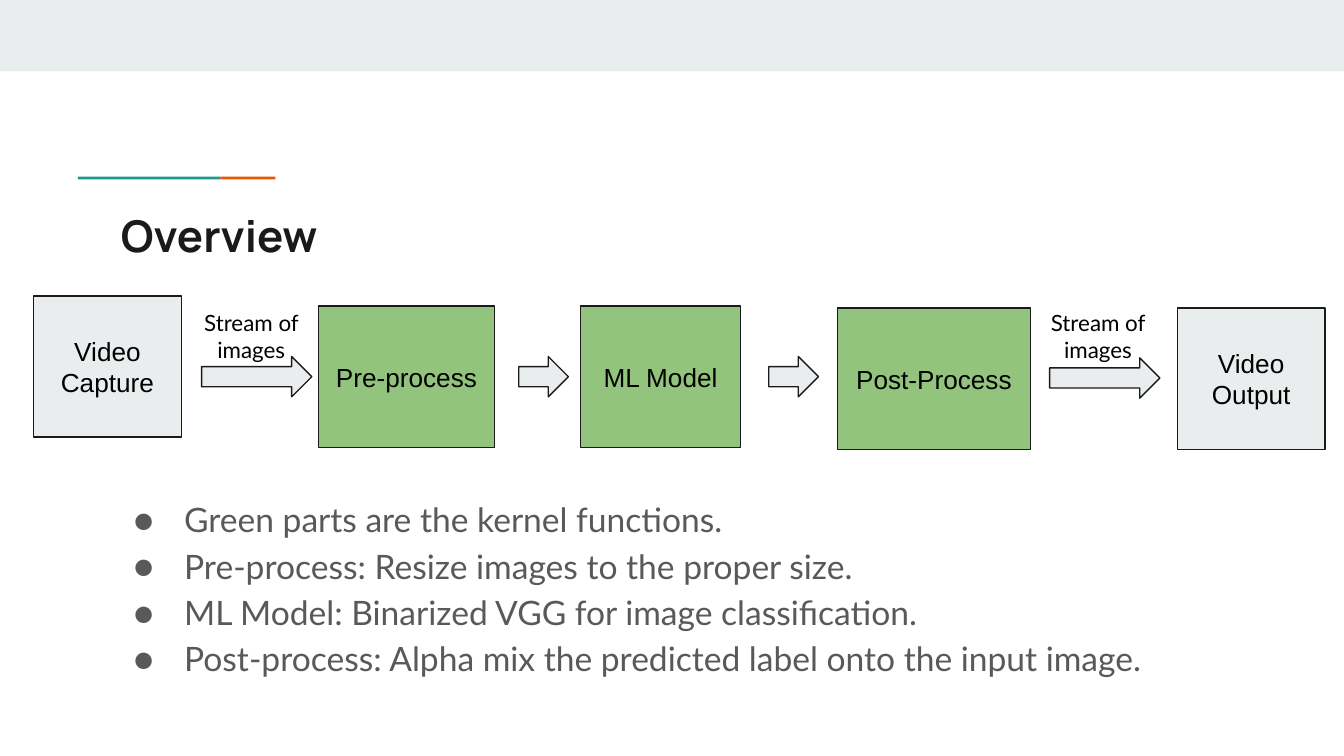
import pptx
import pptx.dml.color
import pptx.enum.shapes
import pptx.enum.text
import pptx.util
from lxml import etree
from pptx.oxml.ns import qn

COLORS = {"paper": "FFFFFF", "pale": "E9EDEE", "green": "93C47D", "teal": "1A9988",
          "orange": "EB5600", "ink": "1A1A1A", "black": "000000", "grey": "595959"}
SHAPES = pptx.enum.shapes.MSO_SHAPE
ALIGN = pptx.enum.text.PP_ALIGN
ANCHOR = pptx.enum.text.MSO_ANCHOR
FIT = pptx.enum.text.MSO_AUTO_SIZE
WIDTH = pptx.util.Inches(10)
HEIGHT = WIDTH * 9 // 16
UNIT = WIDTH // 100


def rgb(name):
    """Return the named palette colour."""
    return pptx.dml.color.RGBColor.from_string(COLORS[name])


def place(box, x, y, w, h):
    """Turn grid units inside a box into slide lengths."""
    return [round(v * UNIT) for v in (box[0] + x, box[1] + y, w, h)]


def add_block(s, kind, area, fill, outlined=False):
    """Add a filled shape with an optional thin outline."""
    sp = s.shapes.add_shape(kind, *area)
    sp.shadow.inherit = False
    sp.fill.solid()
    sp.fill.fore_color.rgb = rgb(fill)
    if outlined:
        sp.line.color.rgb = rgb("ink")
        sp.line.width = pptx.util.Pt(0.75)
    else:
        sp.line.fill.background()
    return sp


def write(sp, text, font, size, color, align=ALIGN.LEFT, anchor=ANCHOR.TOP,
          bold=False, fit=FIT.NONE):
    """Fill a shape with formatted text."""
    tf = sp.text_frame
    tf.text = text
    tf.word_wrap = True
    tf.auto_size = fit
    tf.vertical_anchor = anchor
    tf.margin_left = tf.margin_right = tf.margin_top = tf.margin_bottom = UNIT
    for p in tf.paragraphs:
        p.alignment = align
        for r in p.runs:
            r.font.name, r.font.size, r.font.bold = font, pptx.util.Pt(size), bold
            r.font.color.rgb = rgb(color)
    return tf


def add_bullet(p):
    """Give a paragraph a round bullet and a hanging indent."""
    pPr = p._p.get_or_add_pPr()
    pPr.set("marL", str(5 * UNIT))
    pPr.set("indent", str(round(-3.75 * UNIT)))
    clr = etree.SubElement(pPr, qn("a:buClr"))
    etree.SubElement(clr, qn("a:srgbClr")).set("val", COLORS["grey"])
    etree.SubElement(pPr, qn("a:buFont")).set("typeface", "Lato")
    etree.SubElement(pPr, qn("a:buChar")).set("char", "●")


def add_header(s, box):
    """Draw the top band and the two-colour accent rule."""
    add_block(s, SHAPES.RECTANGLE, place(box, 0, 0, 100, 5.3), "pale")
    for x, w, fill in ((5.8, 10.6, "teal"), (16.4, 4.1, "orange")):
        add_block(s, SHAPES.RECTANGLE, place(box, x, 13.15, w, 0.2), fill)


def add_title(s, box):
    """Write the slide title."""
    sp = s.shapes.title
    sp.left, sp.top, sp.width, sp.height = place(box, 0, 0, 84.1, 5.9)
    write(sp, "Overview", "Manrope", 23.4, "ink", bold=True)


def add_notes_list(s, box):
    """Write the bulleted list."""
    sp = s.placeholders[1]
    sp.left, sp.top, sp.width, sp.height = place(box, 0, 0, 84.1, 18.4)
    lines = ("Green parts are the kernel functions.",
             "Pre-process: Resize images to the proper size.",
             "ML Model: Binarized VGG for image classification.",
             "Post-process: Alpha mix the predicted label onto the input image.")
    tf = write(sp, "\n".join(lines), "Lato", 18, "grey")
    for p in tf.paragraphs:
        p.line_spacing = 1.15
        p.space_before = p.space_after = pptx.util.Pt(0)
        add_bullet(p)


def add_pipeline(s, box):
    """Draw the processing stages, the arrows between them and their labels."""
    stages = (("Video Capture", 0, 0, 11, "pale"),
              ("Pre-process", 21.2, 0.75, 13.1, "green"),
              ("ML Model", 40.7, 0.75, 11.9, "green"),
              ("Post-Process", 59.8, 0.9, 14.4, "green"),
              ("Video\nOutput", 85.1, 0.9, 11, "pale"))
    for text, x, y, w, fill in stages:
        sp = add_block(s, SHAPES.RECTANGLE, place(box, x, y, w, 10.5), fill, True)
        write(sp, text, "Arial", 14, "black", ALIGN.CENTER, ANCHOR.MIDDLE)
    for x, y, w in ((12.5, 4.5, 8.2), (36.1, 4.5, 3.7), (54.7, 4.5, 3.7), (75.6, 4.6, 8.2)):
        add_block(s, SHAPES.RIGHT_ARROW, place(box, x, y, w, 3), "pale", True)
    for x in (10.9, 73.9):
        sp = s.shapes.add_textbox(*place(box, x, 0, 10.6, 6.1))
        write(sp, "Stream of images", "Lato", 12, "black", ALIGN.CENTER,
              fit=FIT.SHAPE_TO_FIT_TEXT)


def main():
    """Build the overview slide."""
    prs = pptx.Presentation()
    prs.slide_width, prs.slide_height = WIDTH, HEIGHT
    s = prs.slides.add_slide(prs.slide_layouts[1])
    s.background.fill.solid()
    s.background.fill.fore_color.rgb = rgb("paper")
    add_header(s, (0, 0))
    add_title(s, (8, 14.5))
    add_notes_list(s, (7.7, 35.7))
    add_pipeline(s, (2.5, 22.03))
    prs.save("out.pptx")


if __name__ == "__main__":
    main()
